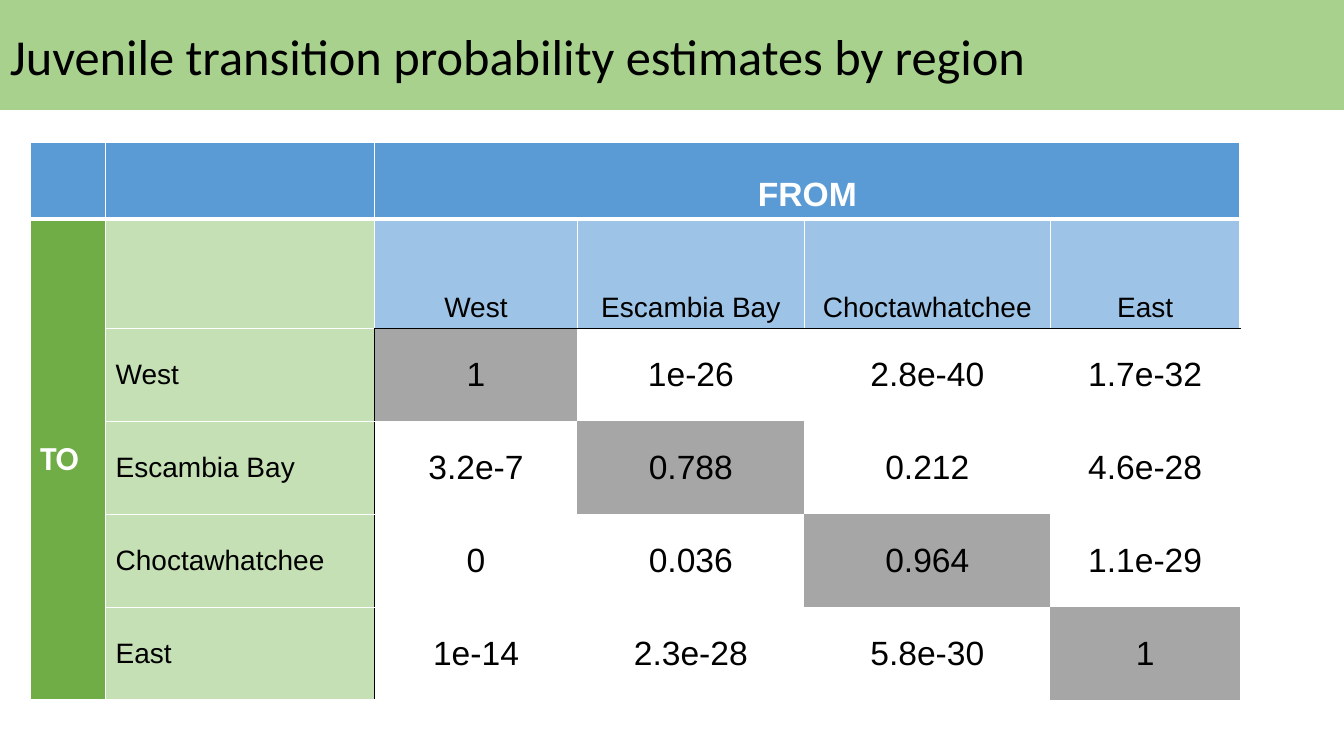
from dataclasses import dataclass, field

from lxml.etree import SubElement
from pptx import Presentation
from pptx.dml.color import RGBColor
from pptx.enum.shapes import MSO_SHAPE as Preset
from pptx.enum.text import MSO_ANCHOR as Anchor, PP_ALIGN as Align
from pptx.oxml.ns import qn
from pptx.table import Table, _Cell as Cell
from pptx.util import Cm, Pt

BLACK = RGBColor(0x00, 0x00, 0x00)
WHITE = RGBColor(0xFF, 0xFF, 0xFF)
TITLE_GREEN = RGBColor(0xA9, 0xD1, 0x8E)
FROM_BLUE = RGBColor(0x5B, 0x9B, 0xD5)
ORIGIN_BLUE = RGBColor(0x9D, 0xC3, 0xE6)
TO_GREEN = RGBColor(0x70, 0xAD, 0x47)
DESTINATION_GREEN = RGBColor(0xC5, 0xE0, 0xB4)
DIAGONAL_GREY = RGBColor(0xA6, 0xA6, 0xA6)

SLIDE_WIDTH, SLIDE_HEIGHT = Cm(33.87), Cm(19.05)
COLUMN_WIDTHS = [Cm(w) for w in (1.9, 6.78, 5.11, 5.72, 6.2, 4.78)]
ROW_HEIGHTS = [Cm(h) for h in (1.93, 2.77, 2.34, 2.34, 2.34, 2.34)]
FIRST_ROW = FIRST_COLUMN = 2

REGIONS = ["West", "Escambia Bay", "Choctawhatchee", "East"]
ESTIMATES = [
    ["1", "1e-26", "2.8e-40", "1.7e-32"],
    ["3.2e-7", "0.788", "0.212", "4.6e-28"],
    ["0", "0.036", "0.964", "1.1e-29"],
    ["1e-14", "2.3e-28", "5.8e-30", "1"],
]


@dataclass(frozen=True)
class Border:
    color: RGBColor
    points: float = 1


THIN_WHITE, THICK_WHITE, THIN_BLACK = Border(WHITE), Border(WHITE, 3), Border(BLACK)
WHITE_GRID = dict.fromkeys("LRTB", THIN_WHITE)


@dataclass(frozen=True)
class Look:
    fill: RGBColor
    size: int = 24
    color: RGBColor = BLACK
    bold: bool = False
    font: str = "Arial"
    align: Align = Align.CENTER
    anchor: Anchor = Anchor.MIDDLE
    borders: dict[str, Border] = field(default_factory=dict)


FROM_LOOK = Look(FROM_BLUE, color=WHITE, bold=True, anchor=Anchor.BOTTOM,
                 borders=WHITE_GRID | {"B": THICK_WHITE})
TO_LOOK = Look(TO_GREEN, color=WHITE, bold=True, font="Calibri",
               align=Align.LEFT, borders=WHITE_GRID)
CORNER_LOOK = Look(DESTINATION_GREEN, borders=WHITE_GRID)
ORIGIN_LOOK = Look(ORIGIN_BLUE, size=20, anchor=Anchor.BOTTOM,
                   borders=WHITE_GRID | {"B": THIN_BLACK})
DESTINATION_LOOK = Look(DESTINATION_GREEN, size=20, align=Align.LEFT,
                        borders=WHITE_GRID | {"R": THIN_BLACK})


def set_borders(cell: Cell, borders: dict[str, Border]) -> None:
    """Draw the given sides and switch the remaining ones off."""
    properties = cell._tc.get_or_add_tcPr()
    for position, side in enumerate("LRTB"):
        line = SubElement(properties, qn(f"a:ln{side}"))
        properties.insert(position, line)
        border = borders.get(side)
        if border is None:
            line.set("w", "0")
            SubElement(line, qn("a:noFill"))
        else:
            line.set("w", str(Pt(border.points)))
            fill = SubElement(line, qn("a:solidFill"))
            SubElement(fill, qn("a:srgbClr")).set("val", str(border.color))


def fill_cell(cell: Cell, look: Look, text: str = "") -> None:
    cell.fill.solid()
    cell.fill.fore_color.rgb = look.fill
    cell.vertical_anchor = look.anchor
    set_borders(cell, look.borders)
    if text:
        cell.text = text
        paragraph = cell.text_frame.paragraphs[0]
        paragraph.alignment = look.align
        font = paragraph.font
        font.name, font.size, font.bold = look.font, Pt(look.size), look.bold
        font.color.rgb = look.color


def estimate_look(to: int, origin: int) -> Look:
    """Grey on the diagonal; black lines only against the region names."""
    borders = {}
    if to == 0:
        borders["T"] = THIN_BLACK
    if origin == 0:
        borders["L"] = THIN_BLACK
    return Look(DIAGONAL_GREY if to == origin else WHITE, borders=borders)


def fill_headers(table: Table) -> None:
    for column in range(len(COLUMN_WIDTHS)):
        text = "FROM" if column == FIRST_COLUMN else ""
        fill_cell(table.cell(0, column), FROM_LOOK, text)
    for row in range(1, len(ROW_HEIGHTS)):
        fill_cell(table.cell(row, 0), TO_LOOK, "TO" if row == 1 else "")
    fill_cell(table.cell(1, 1), CORNER_LOOK)
    table.cell(0, FIRST_COLUMN).merge(table.cell(0, len(COLUMN_WIDTHS) - 1))
    table.cell(1, 0).merge(table.cell(len(ROW_HEIGHTS) - 1, 0))


def fill_regions(table: Table) -> None:
    for to, (region, estimates) in enumerate(zip(REGIONS, ESTIMATES)):
        fill_cell(table.cell(1, FIRST_COLUMN + to), ORIGIN_LOOK, region)
        fill_cell(table.cell(FIRST_ROW + to, 1), DESTINATION_LOOK, region)
        for origin, estimate in enumerate(estimates):
            fill_cell(table.cell(FIRST_ROW + to, FIRST_COLUMN + origin),
                      estimate_look(to, origin), estimate)


def add_title(shapes) -> None:
    banner = shapes.add_shape(Preset.RECTANGLE, 0, 0, SLIDE_WIDTH, Cm(2.77))
    banner.shadow.inherit = False
    banner.fill.solid()
    banner.fill.fore_color.rgb = TITLE_GREEN
    banner.line.fill.background()
    banner.text_frame.word_wrap = True
    banner.text_frame.vertical_anchor = Anchor.MIDDLE
    title = banner.text_frame.paragraphs[0]
    title.text = "Juvenile transition probability estimates by region"
    title.alignment = Align.LEFT
    title.font.name, title.font.size = "Calibri", Pt(36)
    title.font.color.rgb = BLACK


def add_transitions(shapes) -> None:
    table = shapes.add_table(len(ROW_HEIGHTS), len(COLUMN_WIDTHS), Cm(0.76), Cm(3.58),
                             sum(COLUMN_WIDTHS), sum(ROW_HEIGHTS)).table
    table.first_row = table.horz_banding = False
    for column, width in zip(table.columns, COLUMN_WIDTHS):
        column.width = width
    for row, height in zip(table.rows, ROW_HEIGHTS):
        row.height = height
    fill_headers(table)
    fill_regions(table)


def main() -> None:
    presentation = Presentation()
    presentation.slide_width, presentation.slide_height = SLIDE_WIDTH, SLIDE_HEIGHT
    slide = presentation.slides.add_slide(presentation.slide_layouts[6])
    add_title(slide.shapes)
    add_transitions(slide.shapes)
    presentation.save("out.pptx")


if __name__ == "__main__":
    main()
